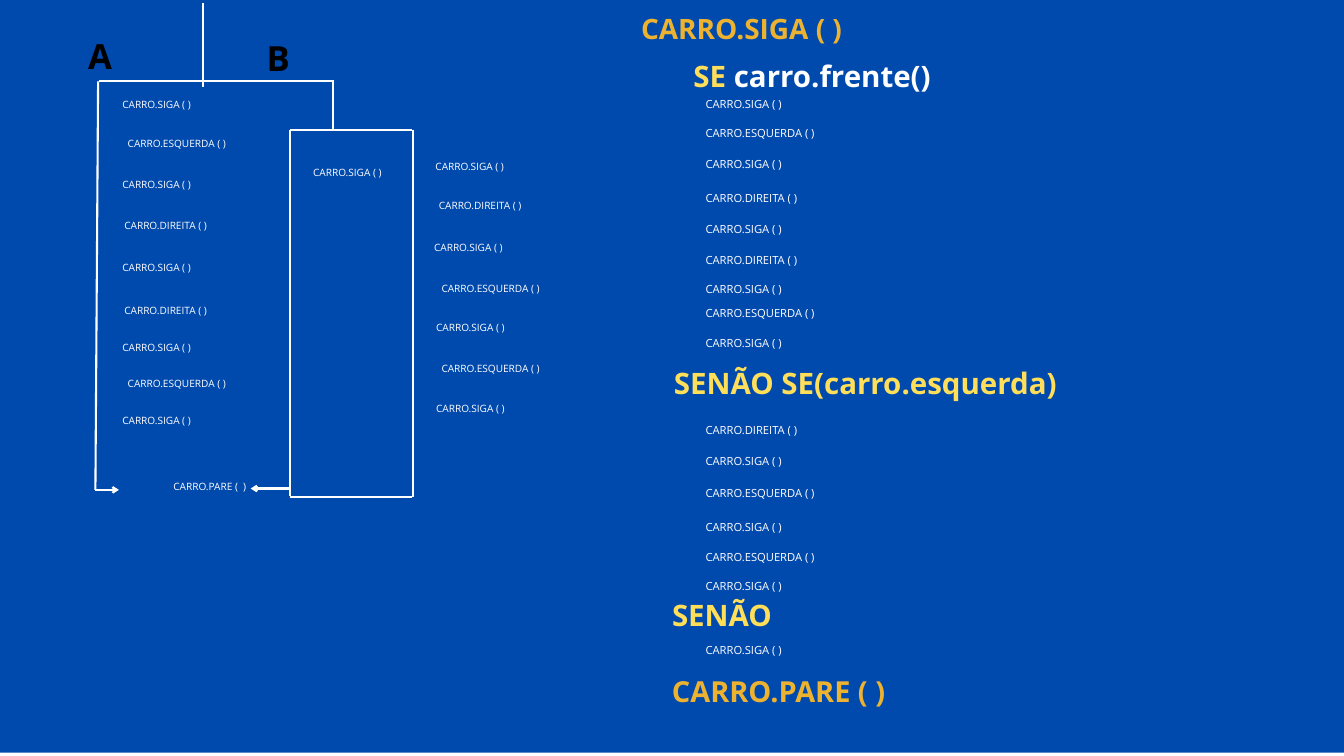
from lxml import etree
from pptx import Presentation
from pptx import util as u
from pptx.dml.color import RGBColor
from pptx.enum import shapes, text
from pptx.oxml.ns import qn

PX = 9144  # 100 px to the inch
FONT = "Open Sans"
COLORS = {"blue": "004AAD", "white": "FFFFFF", "black": "000000",
          "yellow": "FFDE59", "gold": "EDB330"}
SIGA, ESQUERDA, DIREITA = "CARRO.SIGA ( )", "CARRO.ESQUERDA ( )", "CARRO.DIREITA ( )"
PARE = "CARRO.PARE (  )"
FLOW_WIDTHS = {SIGA: 147, ESQUERDA: 241, DIREITA: 188, PARE: 163}
CODE_WIDTHS = {SIGA: 217, ESQUERDA: 355, DIREITA: 277}


def px(n):
    return u.Emu(n * PX)


def rgb(name):
    return RGBColor.from_string(COLORS[name])


def add_text(s, x, y, w, h, runs, size, spacing, bold=False, align=text.PP_ALIGN.LEFT):
    """Add one line of text; runs is a list of (words, colour name)."""
    tf = s.shapes.add_textbox(px(x), px(y), px(w), px(h)).text_frame
    tf.margin_left = tf.margin_top = tf.margin_right = tf.margin_bottom = 0
    tf.word_wrap = True
    tf.auto_size = text.MSO_AUTO_SIZE.SHAPE_TO_FIT_TEXT
    p = tf.paragraphs[0]
    p.alignment = align
    p.line_spacing = u.Pt(spacing)
    for words, color in runs:
        r = p.add_run()
        r.text = words
        r.font.name = FONT
        r.font.size = u.Pt(size)
        r.font.bold = bold
        r.font.color.rgb = rgb(color)


def add_line(s, x1, y1, x2, y2, arrow=False):
    c = s.shapes.add_connector(shapes.MSO_CONNECTOR.STRAIGHT,
                               px(x1), px(y1), px(x2), px(y2))
    c.line.color.rgb = rgb("white")
    c.line.width = u.Pt(2.25)
    if arrow:
        etree.SubElement(c.line._get_or_add_ln(), qn("a:tailEnd"), type="arrow")
    etree.SubElement(c._element.spPr, qn("a:effectLst"))


def background(s, x, y, w, h):
    sp = s.shapes.add_shape(shapes.MSO_SHAPE.RECTANGLE, px(x), px(y), px(w), px(h))
    sp.shadow.inherit = False
    sp.fill.solid()
    sp.fill.fore_color.rgb = rgb("blue")
    sp.line.fill.background()


def route_map(s, x, y):
    """Draw branches A and B with the commands beside each path."""
    for x1, y1, x2, y2, arrow in [
        (12, 729, 47, 729, True),      # end of A
        (302, 727, 243, 727, True),    # end of B
        (18, 121, 367, 121, False),    # fork
        (302, 194, 483, 194, False),   # loop of B
        (302, 740, 483, 740, False),
        (16, 121, 12, 729, False),     # path A
        (485, 194, 485, 740, False),
        (302, 194, 302, 738, False),
        (365, 122, 365, 194, False),
        (172, 5, 172, 130, False),     # entry
    ]:
        add_line(s, x + x1, y + y1, x + x2, y + y2, arrow)

    path_a = [(SIGA, 52, 144), (ESQUERDA, 60, 201), (SIGA, 52, 263),
              (DIREITA, 55, 324), (SIGA, 52, 386), (DIREITA, 55, 450),
              (SIGA, 52, 505), (ESQUERDA, 60, 559), (SIGA, 52, 613)]
    path_b = [(SIGA, 518, 236), (DIREITA, 523, 293), (SIGA, 516, 356),
              (ESQUERDA, 527, 417), (SIGA, 519, 475), (ESQUERDA, 527, 536),
              (SIGA, 519, 595)]
    for command, dx, dy in path_a + [(SIGA, 336, 245)] + path_b + [(PARE, 128, 712)]:
        add_text(s, x + dx, y + dy, FLOW_WIDTHS[command], 19,
                 [(command, "white")], 10.8, 15.2)

    for letter, dx, dy in [("A", 1, 42), ("B", 266, 44)]:
        add_text(s, x + dx, y + dy, 36, 69, [(letter, "black")], 37.1, 52,
                 True, text.PP_ALIGN.CENTER)


def pseudocode(s, x, y):
    """Write the program: gold and yellow headings, white commands."""
    for runs, dx, dy, w, h, size, spacing in [
        ([(SIGA, "gold")], 4, 9, 360, 54, 30, 42),
        ([("SE ", "yellow"), ("carro.frente()", "white")], 82, 78, 356, 60, 31.6, 44.3),
        ([("SENÃO SE(carro.esquerda)", "yellow")], 53, 534, 574, 60, 31.6, 44.3),
        ([("SENÃO", "yellow")], 50, 879, 161, 60, 31.6, 44.3),
        ([("CARRO.PARE ( )", "gold")], 50, 994, 337, 56, 31, 43.4),
    ]:
        add_text(s, x + dx, y + dy, w, h, runs, size, spacing, True)

    ahead = [(SIGA, 141), (ESQUERDA, 185), (SIGA, 230), (DIREITA, 282), (SIGA, 328),
             (DIREITA, 373), (SIGA, 417), (ESQUERDA, 453), (SIGA, 497)]
    left = [(DIREITA, 627), (SIGA, 673), (ESQUERDA, 720), (SIGA, 771),
            (ESQUERDA, 816), (SIGA, 859)]
    otherwise = [(SIGA, 954)]
    for command, dy in ahead + left + otherwise:
        add_text(s, x + 100, y + dy, CODE_WIDTHS[command], 22,
                 [(command, "white")], 12, 16.8)


def main():
    prs = Presentation()
    prs.slide_width, prs.slide_height = px(2000), px(1125)
    s = prs.slides.add_slide(prs.slide_layouts[6])
    background(s, 0, 0, 2000, 1120)
    route_map(s, 130, 0)
    pseudocode(s, 950, 0)
    prs.save("out.pptx")


if __name__ == "__main__":
    main()
